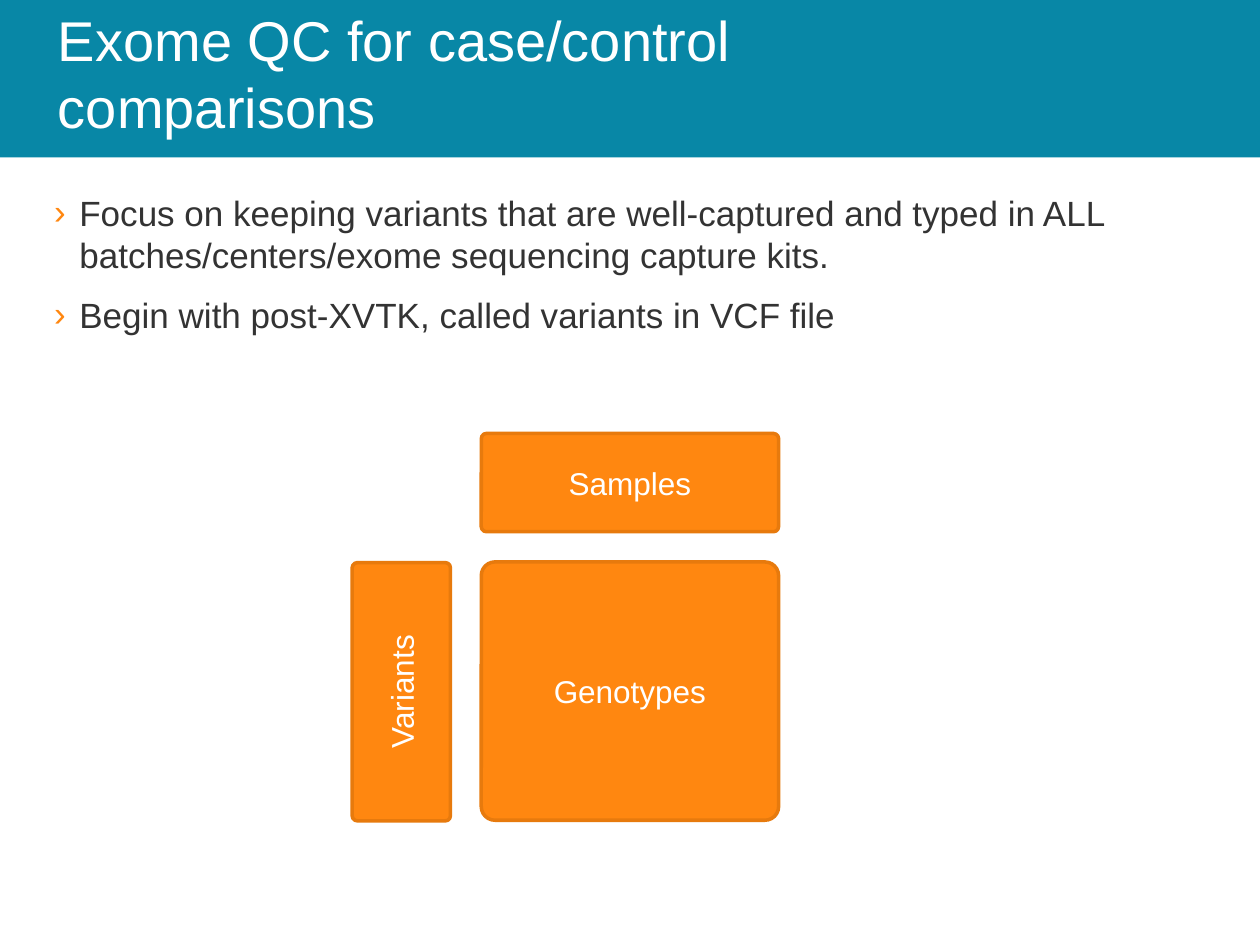
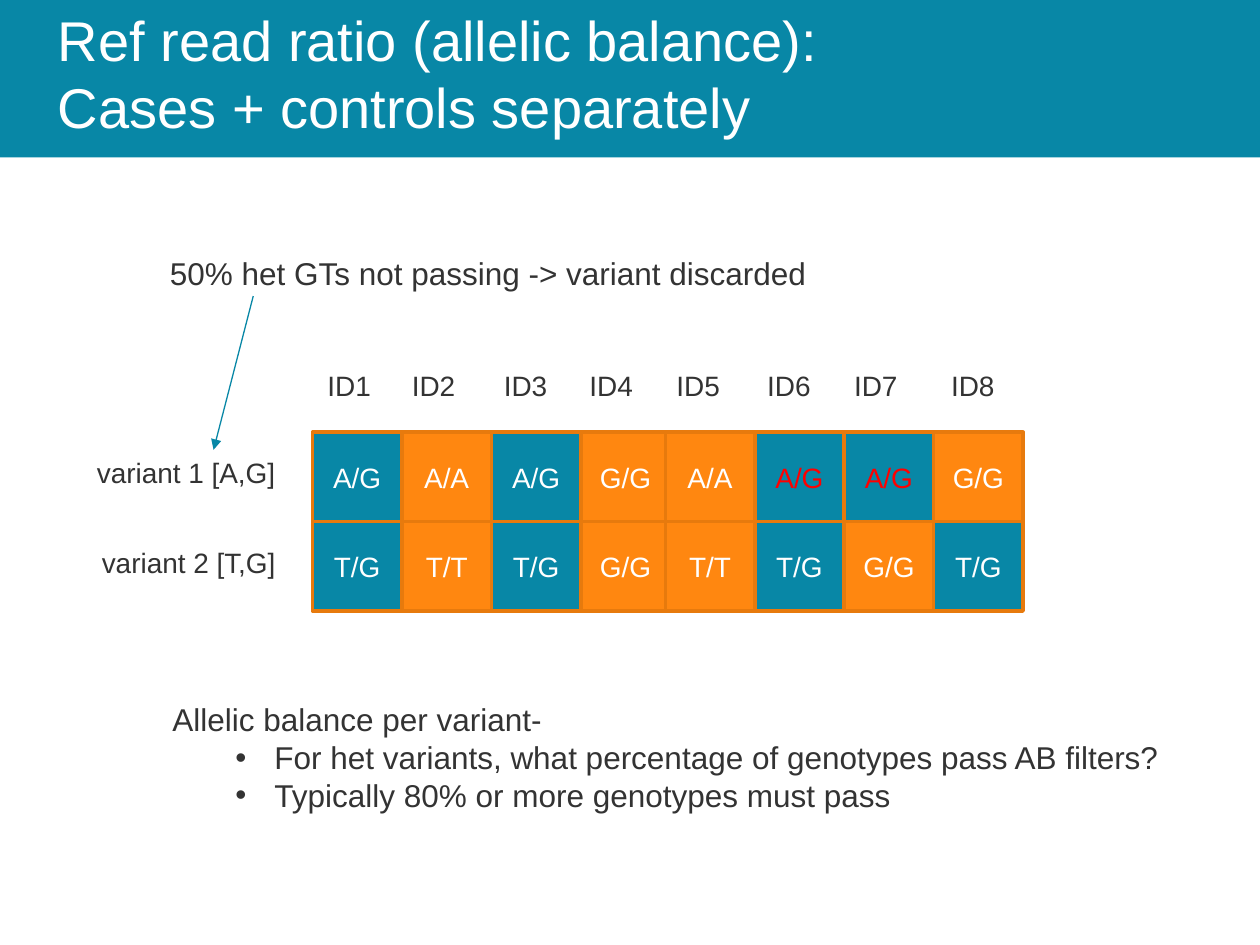
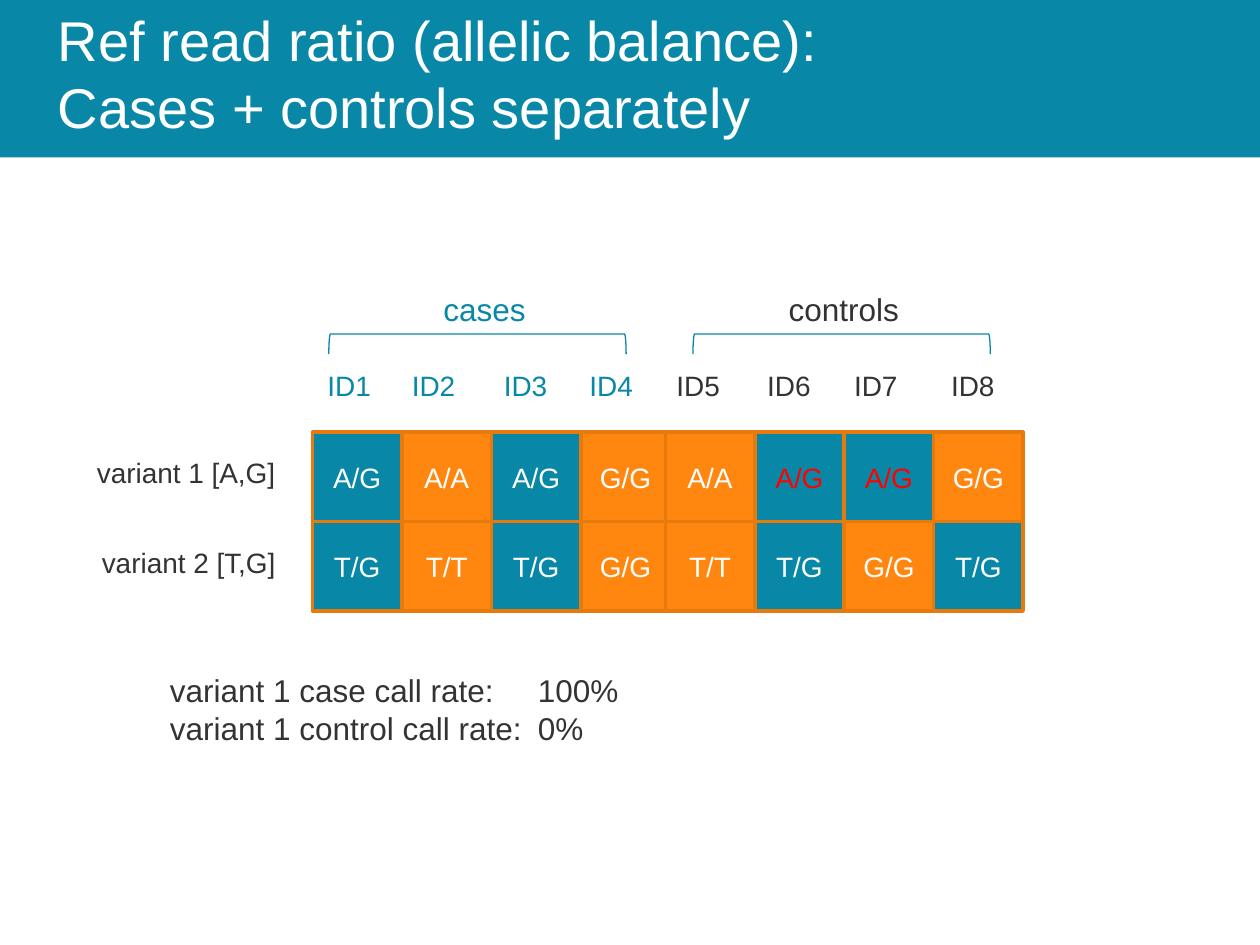
from lxml import etree
from pptx import Presentation
from pptx import util as u
from pptx.dml.color import RGBColor
from pptx.enum import shapes, text
from pptx.oxml.ns import qn

TEAL, ORANGE, EDGE = "0887A6", "FF8710", "E77A0D"
WHITE, DARK, RED = "FFFFFF", "333333", "FF0000"
FONT = "Arial"
RATIO_TITLE = "Ref read ratio (allelic balance):\vCases + controls separately"

CELL = 0.71
GRID_TOP = 3.43
CELL_LEFTS = [start + CELL * step for start in (2.48, 5.28) for step in range(4)]
ID_LEFTS = [2.5, 3.17, 3.9, 4.58, 5.27, 5.99, 6.68, 7.45]
VARIANTS = [
    ("variant 1 [A,G]", 0.67, 2.05, "A/G A/A A/G G/G A/A A/G A/G G/G"),
    ("variant 2 [T,G]", 0.71, 2, "T/G T/T T/G G/G T/T T/G G/G T/G"),
]
FAILING = {(0, 5), (0, 6)}  # (variant, sample) genotypes shown in red


def color(hex_code):
    return RGBColor.from_string(hex_code)


def inches(*lengths):
    return [u.Inches(round(length, 2)) for length in lengths]


def add_element(parent, tag, **attributes):
    return etree.SubElement(parent, qn(tag), {key: str(value) for key, value in attributes.items()})


def write(frame, content, size=18, fill=DARK, align=text.PP_ALIGN.LEFT):
    """Fill a text frame, one paragraph for each line of the content."""
    frame.text = content
    for para in frame.paragraphs:
        para.alignment = align
        for span in para.runs:
            span.font.name, span.font.size = FONT, u.Pt(size)
            span.font.color.rgb = color(fill)


def set_bullet(para, mark, left, hang, fill=None):
    properties = para._p.get_or_add_pPr()
    properties.set("marL", str(u.Inches(left)))
    properties.set("indent", str(-u.Inches(hang)))
    if fill:
        add_element(add_element(properties, "a:buClr"), "a:srgbClr", val=fill)
    add_element(properties, "a:buFont", typeface=FONT)
    add_element(properties, "a:buChar", char=mark)


def set_tab(para, position):
    tabs = add_element(para._p.get_or_add_pPr(), "a:tabLst")
    add_element(tabs, "a:tab", pos=u.Inches(position), algn="l")


class Deck:
    def __init__(self):
        self.deck = Presentation()
        self.deck.slide_width, self.deck.slide_height = inches(10, 7.5)
        self.page = None

    def add_page(self, title, layout=5):
        self.page = self.deck.slides.add_slide(self.deck.slide_layouts[layout])
        band = self.shape(0, -0.01, 10, 1.26, fill=TEAL)
        self.page.shapes._spTree.insert(2, band._element)
        frame = self.place(self.page.shapes.title, 0.36, 0, 10, 1.15)
        frame.vertical_anchor = text.MSO_ANCHOR.BOTTOM
        frame.margin_top = frame.margin_bottom = u.Inches(0.04)
        write(frame, title, size=32, fill=WHITE)

    def place(self, holder, left, top, width, height):
        """Position a placeholder and return its text frame."""
        holder.left, holder.top, holder.width, holder.height = inches(left, top, width, height)
        holder.text_frame.auto_size = text.MSO_AUTO_SIZE.NONE
        return holder.text_frame

    def bullets(self, content, *place):
        frame = self.place(self.page.placeholders[1], *place)
        write(frame, content, size=20)
        for para in frame.paragraphs:
            para.space_before = u.Pt(10)
            set_bullet(para, "›", 0.2, 0.2, ORANGE)

    def shape(self, *place, kind="RECTANGLE", fill=None, line=None, weight=2, turn=0):
        shape = self.page.shapes.add_shape(getattr(shapes.MSO_SHAPE, kind), *inches(*place))
        shape.shadow.inherit = False
        shape.rotation = turn
        if fill:
            shape.fill.solid()
            shape.fill.fore_color.rgb = color(fill)
        else:
            shape.fill.background()
        if line:
            shape.line.color.rgb = color(line)
            shape.line.width = u.Pt(weight)
        else:
            shape.line.fill.background()
        return shape

    def tile(self, content, *place, size=18, ink=WHITE, fill=ORANGE, **style):
        """Draw an edged box with a centred label."""
        box = self.shape(*place, fill=fill, line=EDGE, **style)
        box.text_frame.vertical_anchor = text.MSO_ANCHOR.MIDDLE
        write(box.text_frame, content, size, ink, text.PP_ALIGN.CENTER)
        return box

    def panel(self, content, *place):
        box = self.tile(content, *place, kind="ROUNDED_RECTANGLE")
        box.adjustments[0] = 0.053
        return box

    def label(self, content, *place, **style):
        box = self.page.shapes.add_textbox(*inches(*place))
        box.text_frame.word_wrap = False
        box.text_frame.auto_size = text.MSO_AUTO_SIZE.SHAPE_TO_FIT_TEXT
        write(box.text_frame, content, **style)
        return box

    def arrow(self, left, top, target):
        """Draw an arrow from a point to the top of the target box."""
        line = self.page.shapes.add_connector(
            shapes.MSO_CONNECTOR.STRAIGHT, *inches(left, top, left, top))
        line.end_connect(target, 0)
        line.line.color.rgb = color(TEAL)
        line.line.width = u.Pt(0.75)
        add_element(line.line._get_or_add_ln(), "a:tailEnd", type="triangle")
        add_element(line._element.spPr, "a:effectLst")

    def genotype_grid(self, case_ink=DARK):
        """Draw the sample IDs and genotypes; return the variant labels."""
        names = []
        for row, (name, left, width, genotypes) in enumerate(VARIANTS):
            top = GRID_TOP + row * CELL
            names.append(self.label(name, left, top + 0.14, width, 0.46, size=16))
            for column, genotype in enumerate(genotypes.split()):
                first, second = genotype.split("/")
                self.tile(genotype, CELL_LEFTS[column], top, CELL, CELL, size=16,
                          ink=RED if (row, column) in FAILING else WHITE,
                          fill=ORANGE if first == second else TEAL)
        for number, left in enumerate(ID_LEFTS, 1):
            self.label(f"ID{number}", left, 2.88, 0.69, 0.46, size=16,
                       fill=case_ink if number <= 4 else DARK)
        return names


def add_overview(deck):
    deck.add_page("Exome QC for case/control \vcomparisons", layout=1)
    deck.bullets("Focus on keeping variants that are well-captured and typed in ALL "
                 "batches/centers/exome sequencing capture kits.\n"
                 "Begin with post-XVTK, called variants in VCF file", 0.33, 1.47, 9.08, 1.18)
    deck.panel("Genotypes", 3.82, 4.46, 2.36, 2.05)
    deck.panel("Samples", 3.82, 3.44, 2.36, 0.78)
    deck.panel("Variants", 2.16, 5.1, 2.05, 0.78).rotation = 270


def add_variant_filter(deck):
    deck.add_page(RATIO_TITLE)
    first_variant, _ = deck.genotype_grid()
    rule = deck.label("Allelic balance per variant-\n"
                      "For het variants, what percentage of genotypes pass AB filters?\n"
                      "Typically 80% or more genotypes must pass", 1.27, 5.51, 8.1, 1.01)
    for para in rule.text_frame.paragraphs[1:]:
        para.level = 1
        set_bullet(para, "•", 0.81, 0.31)
    deck.label("50% het GTs not passing -> variant discarded", 1.25, 1.97, 5.3, 0.4)
    deck.arrow(2.01, 2.35, first_variant)


def add_call_rates(deck):
    deck.add_page(RATIO_TITLE)
    deck.genotype_grid(case_ink=TEAL)
    for left in (3.71, 6.6):
        deck.shape(left, 1.55, 0.16, 2.36, kind="RIGHT_BRACKET", line=TEAL, weight=0.75, turn=270)
    deck.label("cases", 3.42, 2.25, 0.86, 0.4, fill=TEAL)
    deck.label("controls", 6.16, 2.25, 1.09, 0.4)
    rates = deck.label("variant 1 case call rate:\t100%\nvariant 1 control call rate:\t0%",
                       1.25, 5.28, 3.79, 0.71)
    for para in rates.text_frame.paragraphs:
        set_tab(para, 2.92)


def main():
    deck = Deck()
    add_overview(deck)
    add_variant_filter(deck)
    add_call_rates(deck)
    deck.deck.save("out.pptx")


if __name__ == "__main__":
    main()
